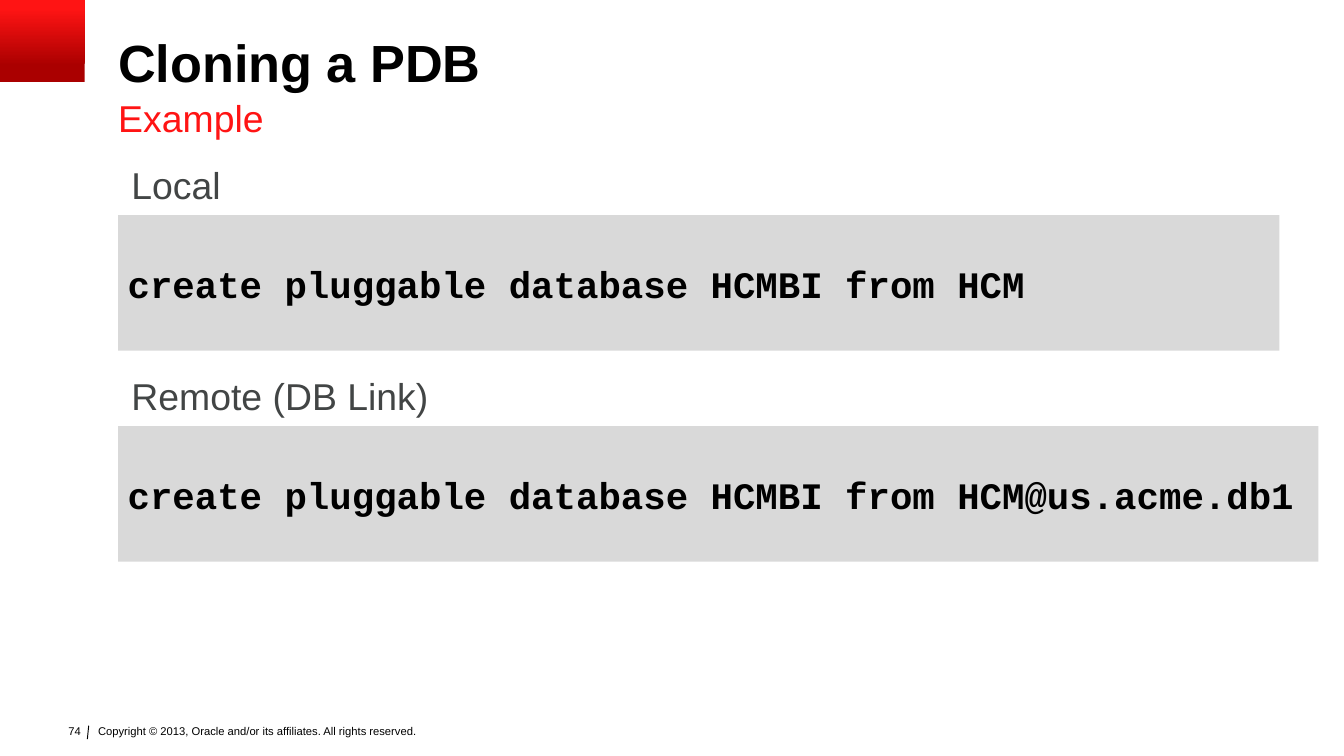
"""Build the slide on cloning a pluggable database."""
import pptx
import pptx.util
import pptx.dml.color
import pptx.enum.shapes
import pptx.enum.text
import lxml.etree

Inches = pptx.util.Inches
Anchor = pptx.enum.text.MSO_ANCHOR
Align = pptx.enum.text.PP_ALIGN
RECTANGLE = pptx.enum.shapes.MSO_SHAPE.RECTANGLE
DRAWING = "http://schemas.openxmlformats.org/drawingml/2006/main"


def color(value):
    return pptx.dml.color.RGBColor.from_string(value)


def write(shape, text, size, fill="000000", face="Arial", bold=False, align=Align.LEFT,
          anchor=Anchor.TOP, margins=(0, 0, 0, 0), spacing=None, wrap=True):
    frame = shape.text_frame
    frame.word_wrap = wrap
    frame.vertical_anchor = anchor
    frame.margin_left, frame.margin_top, frame.margin_right, frame.margin_bottom = map(Inches, margins)
    paragraph = frame.paragraphs[0]
    paragraph.alignment = align
    paragraph.line_spacing = spacing
    run = paragraph.add_run()
    run.text = text
    run.font.name = face
    run.font.size = pptx.util.Pt(size)
    run.font.bold = bold
    run.font.color.rgb = color(fill)


deck = pptx.Presentation()
deck.slide_width = Inches(10)
deck.slide_height = Inches(10 * 9 / 16)
slide = deck.slides.add_slide(deck.slide_layouts[6])
shapes = slide.shapes
left = Inches(0.88)

copyright_line = shapes.add_textbox(Inches(0.69), Inches(5.37), Inches(2.74), Inches(0.24))
write(copyright_line, "Copyright © 2013, Oracle and/or its affiliates. All rights reserved.", 6,
      margins=(0.04, 0.02, 0.04, 0.02))

divider = shapes.add_connector(pptx.enum.shapes.MSO_CONNECTOR.STRAIGHT,
                               Inches(0.66), Inches(5.4), Inches(0.65), Inches(5.5))
divider.line.color.rgb = color("000000")
divider.line.width = pptx.util.Pt(0.5)
lxml.etree.SubElement(divider._element.spPr, f"{{{DRAWING}}}effectLst")

page_number = shapes.add_textbox(Inches(0.39), Inches(5.34), Inches(0.31), Inches(0.2))
write(page_number, "74", 6, align=Align.RIGHT, margins=(0.1, 0.05, 0.1, 0.05))

corner = shapes.add_shape(RECTANGLE, 0, 0, Inches(0.63), Inches(0.61))
corner.shadow.inherit = False
corner.line.fill.background()
corner.fill.gradient()
corner.fill.gradient_angle = 90
for stop, (position, shade) in zip(corner.fill.gradient_stops, [(0.2, "AA0000"), (0.9, "FF1414")]):
    stop.position = position
    stop.color.rgb = color(shade)

title = shapes.add_textbox(left, Inches(0.27), Inches(9), Inches(0.44))
write(title, "Cloning a PDB", 28, bold=True, anchor=Anchor.MIDDLE, spacing=0.9)
subtitle = shapes.add_textbox(left, Inches(0.71), Inches(9), Inches(0.33))
write(subtitle, "Example", 20, fill="FF1414")

examples = [
    ("Local", 0.87, "create pluggable database HCMBI from HCM", 8.64),
    ("Remote (DB Link)", 2.43, "create pluggable database HCMBI from HCM@us.acme.db1", 8.93),
]
for row, (heading, heading_width, statement, panel_width) in enumerate(examples):
    top = 1.16 + 1.57 * row
    panel = shapes.add_shape(RECTANGLE, left, Inches(top + 0.44), Inches(panel_width), Inches(1.01))
    panel.shadow.inherit = False
    panel.fill.solid()
    panel.fill.fore_color.rgb = color("D9D9D9")
    panel.line.fill.background()
    write(panel, statement, 20, face="Courier New", bold=True, anchor=Anchor.MIDDLE,
          margins=(0.07, 0.01, 0, 0))
    label = shapes.add_textbox(left, Inches(top), Inches(heading_width), Inches(0.44))
    write(label, heading, 20, fill="424545", margins=(0.1, 0.05, 0.1, 0.05), wrap=False)

deck.save("out.pptx")
